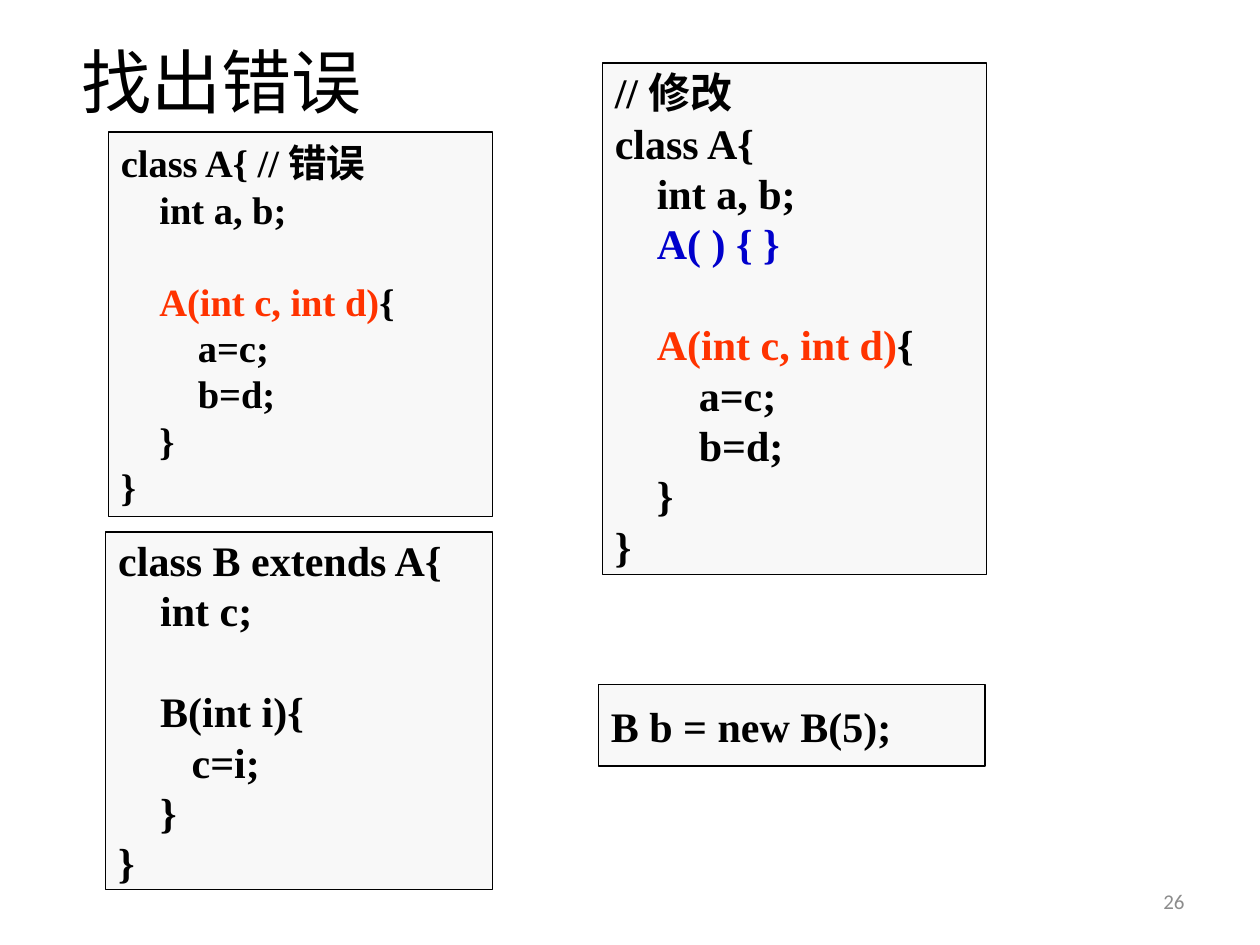
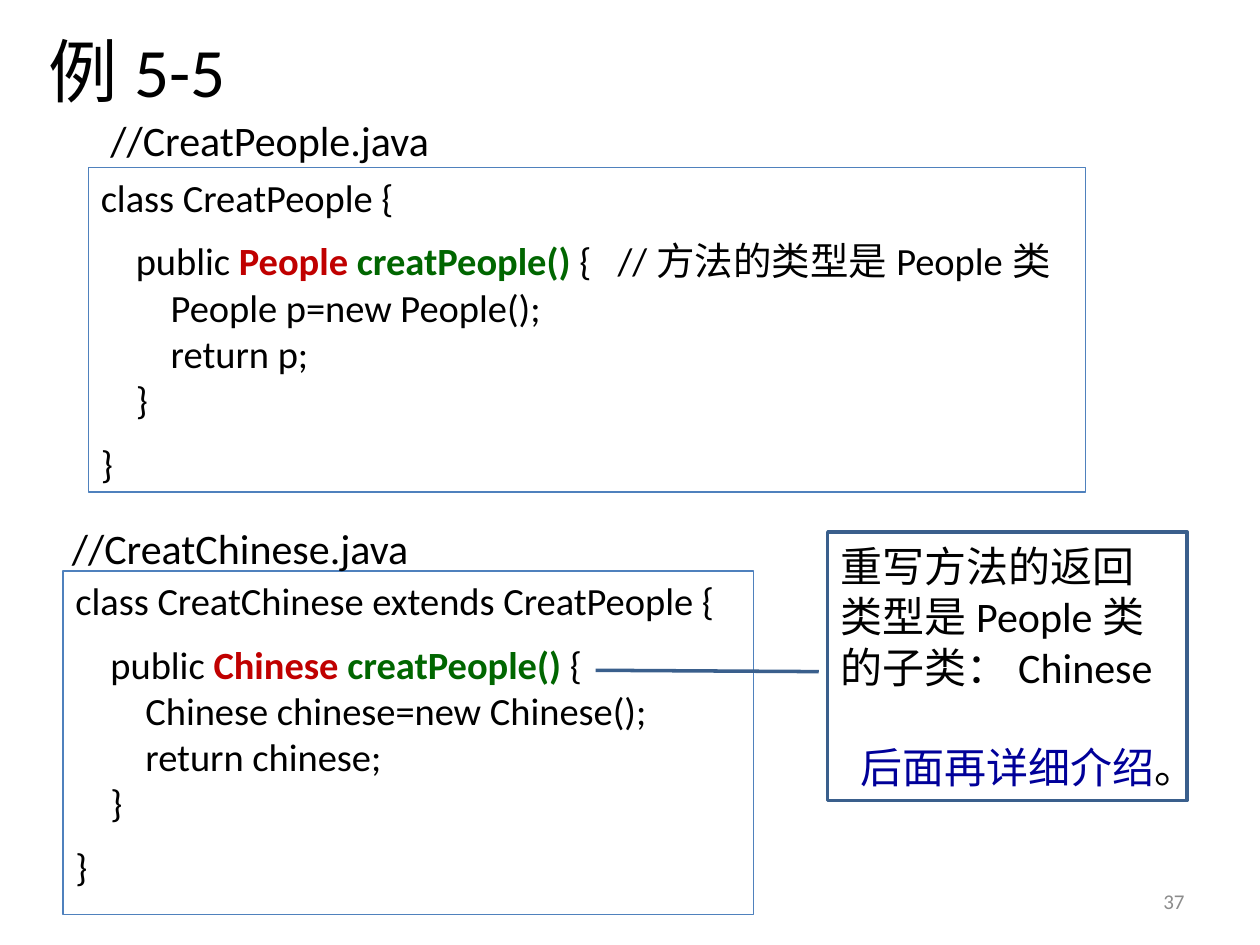
from lxml.etree import SubElement
from pptx import Presentation
from pptx.dml.color import RGBColor
from pptx.enum.shapes import MSO_SHAPE
from pptx.enum.text import MSO_ANCHOR, PP_ALIGN
from pptx.oxml.ns import qn
from pptx.util import Pt

SERIF, SANS, CJK = "Times New Roman", "Calibri", "Noto Sans CJK JP"
BLACK, GREY, PALE = "000000", "8C8C8C", "F8F8F8"
ORANGE, BLUE, NAVY = "FF3300", "0000CC", "000099"
RED, GREEN = "C00000", "006600"
FRAME_BLUE, CALLOUT_BLUE = "4F81BD", "3A5F8C"
LINE_PITCH = 1.2  # line height as a multiple of the text size
TITLE_ONLY = 5


def rgb(hex_code):
    return RGBColor.from_string(hex_code)


def place(shape, box):
    shape.left, shape.top, shape.width, shape.height = map(Pt, box)


def style_run(run, size, font, color=BLACK, bold=False):
    run.font.size = Pt(size)
    run.font.name = font
    run.font.bold = bold
    run.font.color.rgb = rgb(color)
    SubElement(run.font._element, qn("a:ea")).set("typeface", CJK)


def write_lines(frame, lines, size, font, bold=False, indent=0, anchor=MSO_ANCHOR.TOP):
    """Each line is (indent level, space before in points, [(text, color, bold), ...])."""
    frame.word_wrap = True
    frame.vertical_anchor = anchor
    for number, (level, gap, pieces) in enumerate(lines):
        line = frame.paragraphs[0] if number == 0 else frame.add_paragraph()
        line.alignment = PP_ALIGN.LEFT
        line.line_spacing = Pt(size * LINE_PITCH)
        line.space_before = Pt(gap)
        line._p.get_or_add_pPr().set("marL", str(Pt(level * indent)))
        for text, color, strong in pieces:
            run = line.add_run()
            run.text = text
            style_run(run, size, font, color, bold or strong)


def plain(text, level=0, gap=0, color=BLACK):
    return level, gap, [(text, color, False)]


def framed(slide, box, line_color, line_width=0.75, fill=None, kind=MSO_SHAPE.RECTANGLE):
    frame = slide.shapes.add_shape(kind, *map(Pt, box))
    frame.shadow.inherit = False
    frame.line.color.rgb = rgb(line_color)
    frame.line.width = Pt(line_width)
    if fill:
        frame.fill.solid()
        frame.fill.fore_color.rgb = rgb(fill)
    else:
        frame.fill.background()
    return frame


def caption(slide, box, text, size, color=BLACK, align=PP_ALIGN.LEFT, anchor=MSO_ANCHOR.TOP):
    label = slide.shapes.add_textbox(*map(Pt, box)).text_frame
    label.word_wrap = True
    label.vertical_anchor = anchor
    label.text = text
    label.paragraphs[0].alignment = align
    style_run(label.paragraphs[0].runs[0], size, SANS, color)


def titled_slide(deck, title, box, size, font, align, number):
    slide = deck.slides.add_slide(deck.slide_layouts[TITLE_ONLY])
    heading = slide.shapes.title
    place(heading, box)
    heading.text_frame.text = title
    heading.text_frame.vertical_anchor = MSO_ANCHOR.MIDDLE
    heading.text_frame.paragraphs[0].alignment = align
    style_run(heading.text_frame.paragraphs[0].runs[0], size, font)
    caption(slide, (516, 500.5, 168, 28.75), number, 12, GREY,
            PP_ALIGN.RIGHT, MSO_ANCHOR.MIDDLE)
    return slide


# Error-finding slide
def code_card(slide, box, lines, size=24):
    card = framed(slide, box, BLACK, fill=PALE)
    write_lines(card.text_frame, lines, size, SERIF, bold=True, indent=size,
                anchor=MSO_ANCHOR.MIDDLE)


def two_argument_constructor(gap):
    return [
        (1, gap, [("A(int c, int d)", ORANGE, True), ("{", BLACK, True)]),
        plain("a=c;", 2), plain("b=d;", 2), plain("}", 1), plain("}"),
    ]


def find_error_slide(deck):
    slide = titled_slide(deck, "找出错误", (39.6, 16.5, 554.4, 58.5), 40, SERIF,
                         PP_ALIGN.LEFT, "26")
    code_card(slide, (62, 75.5, 219.5, 219.5), [
        plain("class A{ //错误"), plain("int a, b;", 1),
        *two_argument_constructor(22 * LINE_PITCH)], size=22)
    blank_line = 24 * LINE_PITCH
    code_card(slide, (60.5, 304, 221, 204.5), [
        plain("class B extends A{"), plain("int c;", 1),
        plain("B(int i){", 1, blank_line), plain("c=i;", 1.75),
        plain("}", 1), plain("}")])
    code_card(slide, (344.25, 36, 219.5, 292.25), [
        plain("//修改"), plain("class A{"), plain("int a, b;", 1),
        plain("A( ) { }", 1, color=BLUE), *two_argument_constructor(blank_line)])
    code_card(slide, (342, 391, 221, 46.75), [plain("B b = new B(5);")])


# Overriding example slide
def class_listing(slide, box, header, return_type, body, comment=None):
    signature = [("public ", BLACK, False), (return_type + " ", RED, True),
                 ("creatPeople() ", GREEN, True), ("{", BLACK, False)]
    if comment:
        signature += [(" ", BLACK, False), (comment, BLACK, False)]
    listing = framed(slide, box, FRAME_BLUE).text_frame
    write_lines(listing, [
        plain(header), (1, 10, signature), *(plain(text, 2) for text in body),
        plain("}", 1), plain("}", gap=10)], 22, SANS, indent=20)
    if comment:  # widen the gap before the trailing comment
        listing.paragraphs[1].runs[-2].font._element.set("spc", "1000")


def override_callout(slide, box):
    callout = framed(slide, box, CALLOUT_BLUE, 2, kind=MSO_SHAPE.LINE_CALLOUT_1)
    for position, value in enumerate((0.52, -0.025, 0.515, -0.646)):
        callout.adjustments[position] = value
    write_lines(callout.text_frame, [
        plain("重写方法的返回类型是People类的子类：Chinese"),
        (0, 24 * LINE_PITCH, [("后面再详细介绍", NAVY, False), ("。", BLACK, False)]),
    ], 24, SANS, anchor=MSO_ANCHOR.MIDDLE)
    remark = callout.text_frame.paragraphs[1]
    remark.alignment = PP_ALIGN.CENTER
    remark.runs[0].font.name = CJK


def override_slide(deck):
    slide = titled_slide(deck, "例5-5", (16.5, 16.5, 124, 47), 39.6, SANS,
                         PP_ALIGN.CENTER, "37")
    class_listing(slide, (50.5, 95.75, 570, 185.5), "class CreatPeople {", "People",
                  ["People p=new People();", "return p;"], "//方法的类型是People类")
    class_listing(slide, (36, 326.25, 394.5, 196.5),
                  "class CreatChinese extends CreatPeople {", "Chinese",
                  ["Chinese chinese=new Chinese();", "return chinese;"])
    caption(slide, (56, 62, 236, 36), "//CreatPeople.java", 24)
    caption(slide, (34, 295, 258.5, 36), "//CreatChinese.java", 24)
    override_callout(slide, (473, 304, 205.25, 153.5))


def main():
    deck = Presentation()
    deck.slide_width, deck.slide_height = Pt(720), Pt(540)
    find_error_slide(deck)
    override_slide(deck)
    deck.save("out.pptx")


if __name__ == "__main__":
    main()
